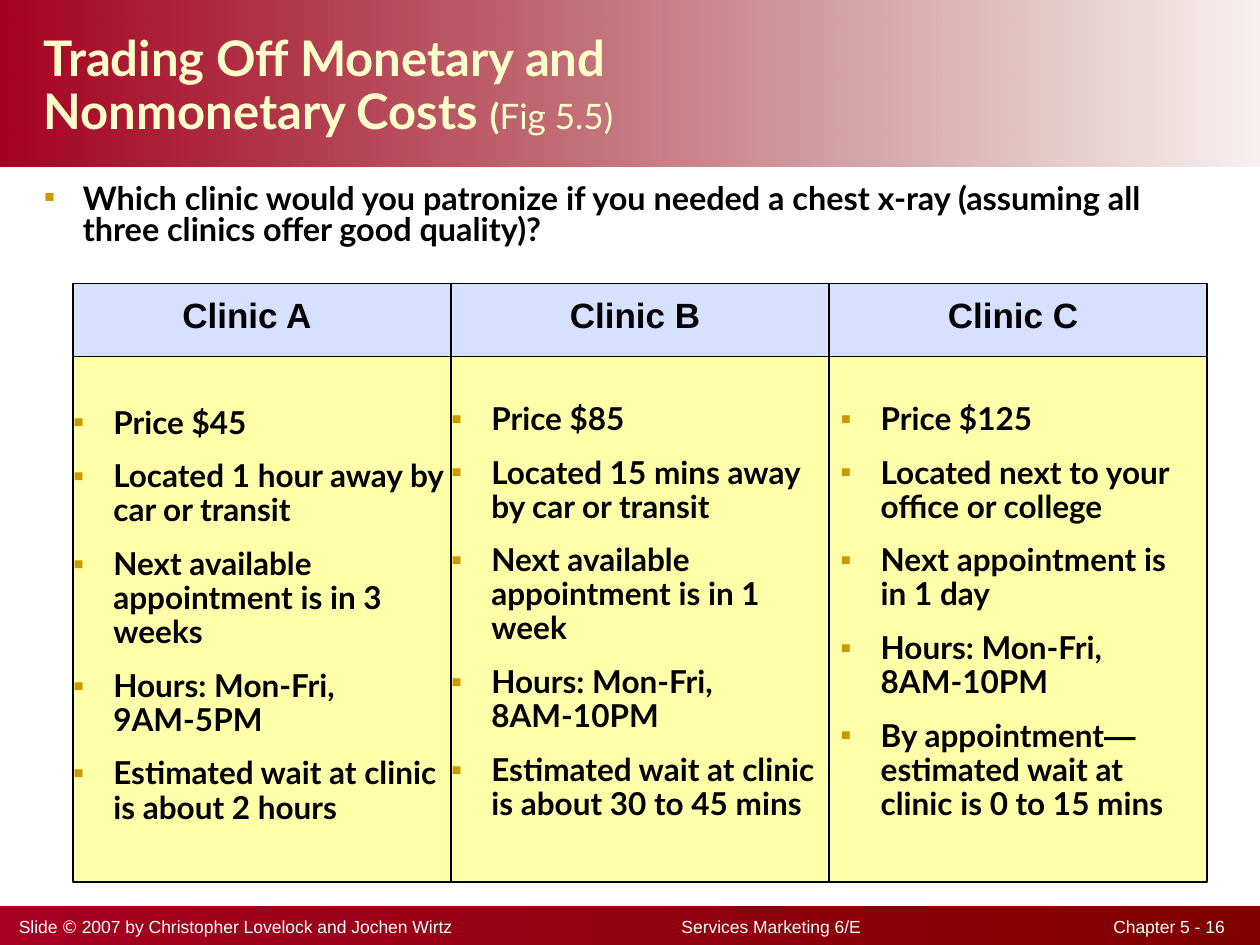
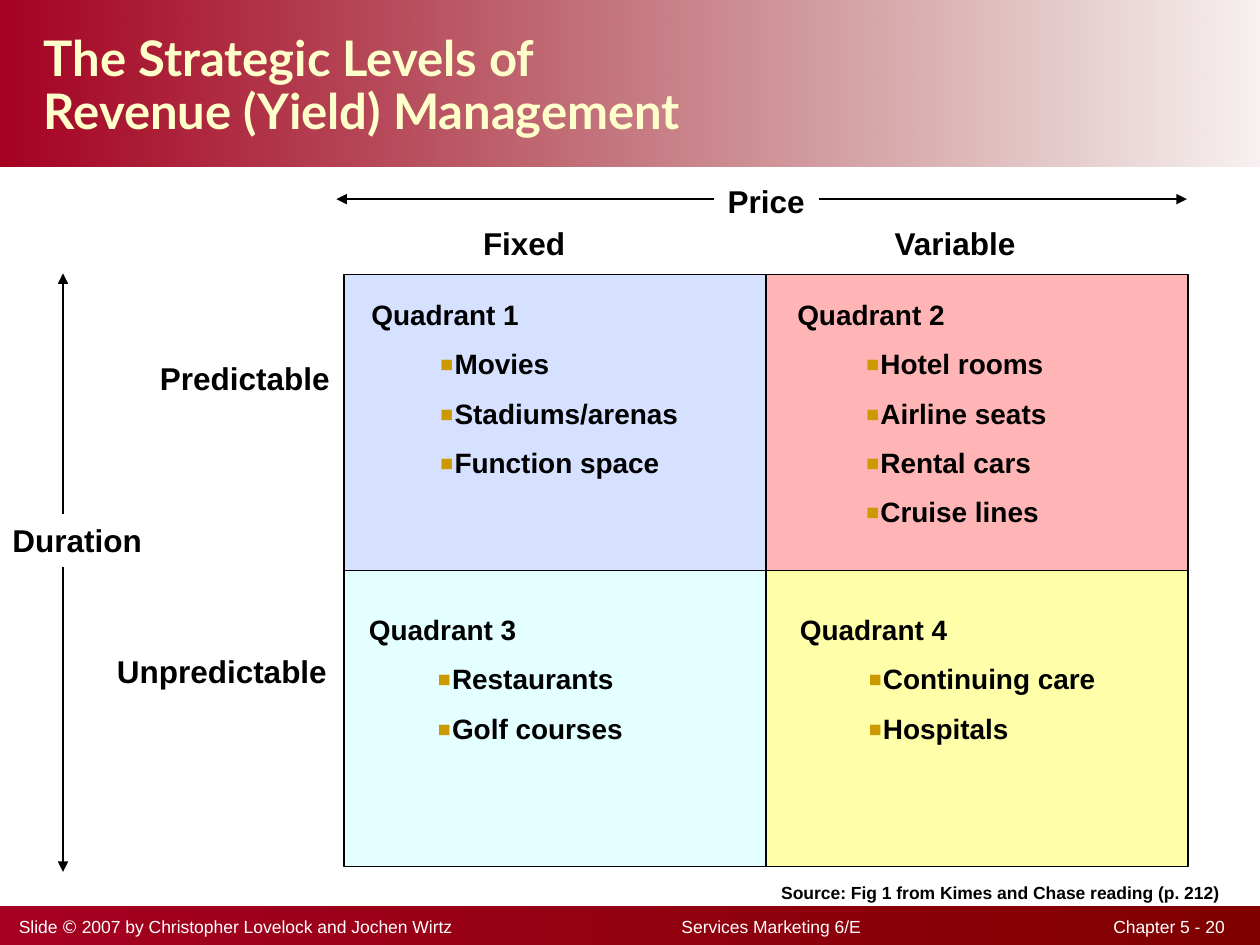
from dataclasses import dataclass
from typing import NamedTuple, Sequence

import lxml.etree
import pptx
import pptx.dml.color
import pptx.enum.shapes
import pptx.enum.text
import pptx.oxml.ns
import pptx.util

Inches = pptx.util.Inches
Pt = pptx.util.Pt
RGBColor = pptx.dml.color.RGBColor
Align = pptx.enum.text.PP_ALIGN
Anchor = pptx.enum.text.MSO_ANCHOR
qn = pptx.oxml.ns.qn

BLACK = RGBColor(0x00, 0x00, 0x00)
WHITE = RGBColor(0xFF, 0xFF, 0xFF)
CRIMSON = RGBColor(0xA5, 0x00, 0x21)
MAROON = RGBColor(0x80, 0x00, 0x00)
CREAM = RGBColor(0xFF, 0xFF, 0xCC)
GOLD = RGBColor(0xCC, 0x99, 0x00)
BLUE = RGBColor(0x33, 0x66, 0xFF)
RED = RGBColor(0xFF, 0x00, 0x00)
CYAN = RGBColor(0xCC, 0xFF, 0xFF)
YELLOW = RGBColor(0xFF, 0xFF, 0x99)

HEADING_FONT = "Lato"
LABEL_FONT = "Arial"
STANDARD_INSETS = (0.1, 0.05, 0.1, 0.05)
NO_INSETS = (0, 0, 0, 0)


class Box(NamedTuple):
    """Left, top, width and height in inches."""
    left: float
    top: float
    width: float
    height: float


class Tint(NamedTuple):
    color: RGBColor
    opacity: int


class Run(NamedTuple):
    text: str
    size: float | None = None
    font: str | None = None
    bold: bool | None = None


class Bullet(NamedTuple):
    margin: float
    hanging: float
    percent: int = 100


@dataclass(frozen=True)
class Clinic:
    name: str
    heading_left: float
    list_box: Box
    points: Sequence[str | Sequence[Run]]


@dataclass(frozen=True)
class Quadrant:
    name: str
    column: int
    row: int
    tint: Tint
    text_left: float
    examples: Sequence[str]


@dataclass(frozen=True)
class AxisLabel:
    text: str
    box: Box
    align: Align = Align.LEFT


class Arrow(NamedTuple):
    start: tuple[float, float]
    end: tuple[float, float]


BODY_BULLET = Bullet(0.31, 0.31)
CLINIC_BULLET = Bullet(0.32, 0.32)
QUADRANT_BULLET = Bullet(0.66, 0.12, 150)

CLINIC_LEFT, CLINIC_WIDTH = 0.58, 3
CLINICS = [
    Clinic("Clinic A", 0.67, Box(0.58, 3.23, 3, 3.4), [
        "Price $45",
        "Located 1 hour away by car or transit",
        "Next available appointment is in 3 weeks",
        "Hours: Mon-Fri, 9AM-5PM",
        "Estimated wait at clinic is about 2 hours",
    ]),
    Clinic("Clinic B", 3.75, Box(3.58, 3.2, 3, 3.4), [
        "Price $85",
        "Located 15 mins away by car or transit",
        "Next available appointment is in 1 week",
        "Hours: Mon-Fri, 8AM-10PM",
        "Estimated wait at clinic is about 30 to 45 mins",
    ]),
    Clinic("Clinic C", 6.75, Box(6.67, 3.2, 2.83, 3.4), [
        "Price $125",
        "Located next to your office or college",
        "Next appointment is in 1 day",
        "Hours: Mon-Fri, 8AM-10PM",
        [Run("By appointment"), Run("—", font=LABEL_FONT),
         Run(" estimated wait at clinic is 0 to 15 mins")],
    ]),
]

GRID_LEFT, GRID_TOP = 2.73, 2.18
CELL_WIDTH, CELL_HEIGHT = 3.35, 2.35
QUADRANT_TEXT_TOPS = (2.33, 4.83)
QUADRANTS = [
    Quadrant("Quadrant 1", 0, 0, Tint(BLUE, 20), 2.85,
             ["Movies", "Stadiums/arenas", "Function space"]),
    Quadrant("Quadrant 2", 1, 0, Tint(RED, 29), 6.23,
             ["Hotel rooms", "Airline seats", "Rental cars", "Cruise lines"]),
    Quadrant("Quadrant 3", 0, 1, Tint(CYAN, 53), 2.83,
             ["Restaurants", "Golf courses"]),
    Quadrant("Quadrant 4", 1, 1, Tint(YELLOW, 84), 6.25,
             ["Continuing care", "Hospitals"]),
]
AXIS_LABELS = [
    AxisLabel("Price", Box(4.42, 1.42, 3.32, 0.39), Align.CENTER),
    AxisLabel("Fixed", Box(2.5, 1.75, 3.32, 0.39), Align.CENTER),
    AxisLabel("Variable", Box(5.92, 1.75, 3.32, 0.39), Align.CENTER),
    AxisLabel("Duration", Box(0, 4.11, 1.42, 0.39)),
    AxisLabel("Predictable", Box(1.17, 2.82, 2.02, 0.39)),
    AxisLabel("Unpredictable", Box(0.83, 5.15, 2.24, 0.39)),
]
AXIS_ARROWS = [
    Arrow((0.5, 4.08), (0.5, 2.17)),
    Arrow((0.5, 4.5), (0.5, 6.92)),
    Arrow((6.5, 1.58), (9.42, 1.58)),
    Arrow((5.67, 1.58), (2.67, 1.58)),
]


def add_element(parent, tag: str, **attributes):
    element = lxml.etree.SubElement(parent, qn(tag))
    for name, value in attributes.items():
        element.set(name, str(value))
    return element


def set_opacity(color_parent, percent: int) -> None:
    """Make the RGB colour found below an element partly transparent."""
    color = next(color_parent.iter(qn("a:srgbClr")))
    add_element(color, "a:alpha", val=percent * 1000)


def add_rectangle(slide, box: Box):
    shape = slide.shapes.add_shape(
        pptx.enum.shapes.MSO_SHAPE.RECTANGLE, *map(Inches, box))
    shape.shadow.inherit = False
    return shape


def add_band(slide, box: Box, end_opacity: int = 100) -> None:
    band = add_rectangle(slide, box)
    band.line.fill.background()
    band.fill.gradient()
    band.fill.gradient_angle = 0
    for stop, color in zip(band.fill.gradient_stops, (CRIMSON, MAROON)):
        stop.color.rgb = color
    if end_opacity < 100:
        last_stop = list(band.element.spPr.iter(qn("a:gs")))[-1]
        set_opacity(last_stop, end_opacity)


def add_cell(slide, box: Box, tint: Tint) -> None:
    cell = add_rectangle(slide, box)
    cell.fill.solid()
    cell.fill.fore_color.rgb = tint.color
    set_opacity(cell.element.spPr.find(qn("a:solidFill")), tint.opacity)
    cell.line.color.rgb = BLACK
    cell.line.width = Pt(0.75)


def add_arrow(slide, arrow: Arrow) -> None:
    connector = slide.shapes.add_connector(
        pptx.enum.shapes.MSO_CONNECTOR.STRAIGHT,
        *map(Inches, arrow.start + arrow.end))
    connector.line.color.rgb = BLACK
    connector.line.width = Pt(0.75)
    properties = connector.element.spPr
    add_element(properties.find(qn("a:ln")), "a:tailEnd", type="triangle")
    add_element(properties, "a:effectLst")


def add_text_frame(slide, box: Box, insets=STANDARD_INSETS, anchor=Anchor.TOP):
    frame = slide.shapes.add_textbox(*map(Inches, box)).text_frame
    frame.word_wrap = True
    frame.vertical_anchor = anchor
    (frame.margin_left, frame.margin_top,
     frame.margin_right, frame.margin_bottom) = map(Inches, insets)
    return frame


def add_bullet(properties, bullet: Bullet) -> None:
    properties.set("marL", str(Inches(bullet.margin)))
    properties.set("indent", str(-Inches(bullet.hanging)))
    add_element(add_element(properties, "a:buClr"), "a:srgbClr", val=GOLD)
    add_element(properties, "a:buSzPct", val=bullet.percent * 1000)
    add_element(properties, "a:buFont", typeface=LABEL_FONT)
    add_element(properties, "a:buChar", char="▪")


def write_paragraph(frame, text: str | Sequence[Run], *, size: float,
                    font: str = LABEL_FONT, color: RGBColor = BLACK,
                    bold: bool = True, align: Align = Align.LEFT,
                    line_spacing: float = 1.0, before: float = 0,
                    after: float = 0, bullet: Bullet | None = None,
                    tabs: Sequence[tuple[float, str]] = ()) -> None:
    """Fill the empty first paragraph or add one; "\\n" breaks the line."""
    first = not frame.paragraphs[0].runs
    paragraph = frame.paragraphs[0] if first else frame.add_paragraph()
    properties = paragraph._p.get_or_add_pPr()
    if bullet:
        add_bullet(properties, bullet)
    if tabs:
        tab_list = add_element(properties, "a:tabLst")
        for position, tab_align in tabs:
            add_element(tab_list, "a:tab", pos=Inches(position), algn=tab_align)
    paragraph.alignment = align
    paragraph.line_spacing = line_spacing
    paragraph.space_before = Pt(0 if first else before)
    paragraph.space_after = Pt(after)
    for part in [Run(text)] if isinstance(text, str) else text:
        for index, line in enumerate(part.text.split("\n")):
            if index:
                paragraph.add_line_break()
            run = paragraph.add_run()
            run.text = line
            run.font.size = Pt(part.size or size)
            run.font.name = part.font or font
            run.font.bold = bold if part.bold is None else part.bold
            run.font.color.rgb = color


def add_base_slide(presentation, title: str | Sequence[Run],
                   title_width: float, page: int):
    """Add a slide with the title band, the title and the footer."""
    slide = presentation.slides.add_slide(presentation.slide_layouts[6])
    add_band(slide, Box(0, 0, 10, 1.32), end_opacity=6)
    add_band(slide, Box(0, 7.19, 10, 0.31))
    footer = add_text_frame(slide, Box(0, 7.22, 9.83, 0.27),
                            (0.15, 0.05, 0.1, 0.05))
    write_paragraph(footer, [
        Run("Slide "), Run("©", font=HEADING_FONT),
        Run(" 2007 by Christopher Lovelock and Jochen Wirtz"
            f"\tServices Marketing 6/E\tChapter 5 - {page}"),
    ], size=10, color=WHITE, bold=False, tabs=[(5.97, "ctr"), (9.57, "r")])
    heading = add_text_frame(slide, Box(0.25, 0.03, title_width, 1.32),
                             anchor=Anchor.MIDDLE)
    write_paragraph(heading, title, size=28, font=HEADING_FONT, color=CREAM,
                    line_spacing=0.9)
    return slide


def build_clinic_slide(presentation) -> None:
    slide = add_base_slide(presentation, [
        Run("Trading Off Monetary and Nonmonetary Costs "),
        Run("(", size=20), Run("Fig 5.5)", size=20, bold=False),
    ], 6.17, 16)
    question = add_text_frame(slide, Box(0.25, 1.42, 9.5, 0.75))
    write_paragraph(question, "Which clinic would you patronize if you needed "
                    "a chest x-ray (assuming all three clinics offer good "
                    "quality)?", size=18.5, font=HEADING_FONT,
                    line_spacing=0.8, bullet=BODY_BULLET)
    for index, clinic in enumerate(CLINICS):
        left = CLINIC_LEFT + index * CLINIC_WIDTH
        add_cell(slide, Box(left, 2.83, CLINIC_WIDTH, 4.17), Tint(YELLOW, 84))
        add_cell(slide, Box(left, 2.25, CLINIC_WIDTH, 0.58), Tint(BLUE, 20))
        heading = add_text_frame(
            slide, Box(clinic.heading_left, 2.33, 2.58, 0.33), NO_INSETS)
        write_paragraph(heading, clinic.name, size=20, align=Align.CENTER)
        points = add_text_frame(slide, clinic.list_box, NO_INSETS)
        for point in clinic.points:
            write_paragraph(points, point, size=18, font=HEADING_FONT,
                            line_spacing=0.9, before=5.6, after=5.6,
                            bullet=CLINIC_BULLET)


def build_quadrant_slide(presentation) -> None:
    slide = add_base_slide(
        presentation,
        "The Strategic Levels of\nRevenue (Yield) Management", 8.25, 20)
    for quadrant in QUADRANTS:
        add_cell(slide, Box(GRID_LEFT + quadrant.column * CELL_WIDTH,
                            GRID_TOP + quadrant.row * CELL_HEIGHT,
                            CELL_WIDTH, CELL_HEIGHT), quadrant.tint)
    for quadrant in QUADRANTS:
        frame = add_text_frame(slide, Box(
            quadrant.text_left, QUADRANT_TEXT_TOPS[quadrant.row], 3.1, 1.94))
        write_paragraph(frame, quadrant.name, size=16, line_spacing=0.95)
        for example in quadrant.examples:
            write_paragraph(frame, example, size=16, line_spacing=0.95,
                            before=10, bullet=QUADRANT_BULLET)
    for label in AXIS_LABELS:
        write_paragraph(add_text_frame(slide, label.box), label.text, size=18,
                        align=label.align, line_spacing=0.95)
    for arrow in AXIS_ARROWS:
        add_arrow(slide, arrow)
    source = add_text_frame(slide, Box(6.2, 7, 3.6, 0.17), NO_INSETS)
    write_paragraph(source, "Source: Fig 1 from Kimes and Chase reading (p. 212)",
                    size=10)


def main() -> None:
    presentation = pptx.Presentation()
    presentation.slide_width = Inches(10)
    presentation.slide_height = Inches(7.5)
    build_clinic_slide(presentation)
    build_quadrant_slide(presentation)
    presentation.save("out.pptx")


if __name__ == "__main__":
    main()
